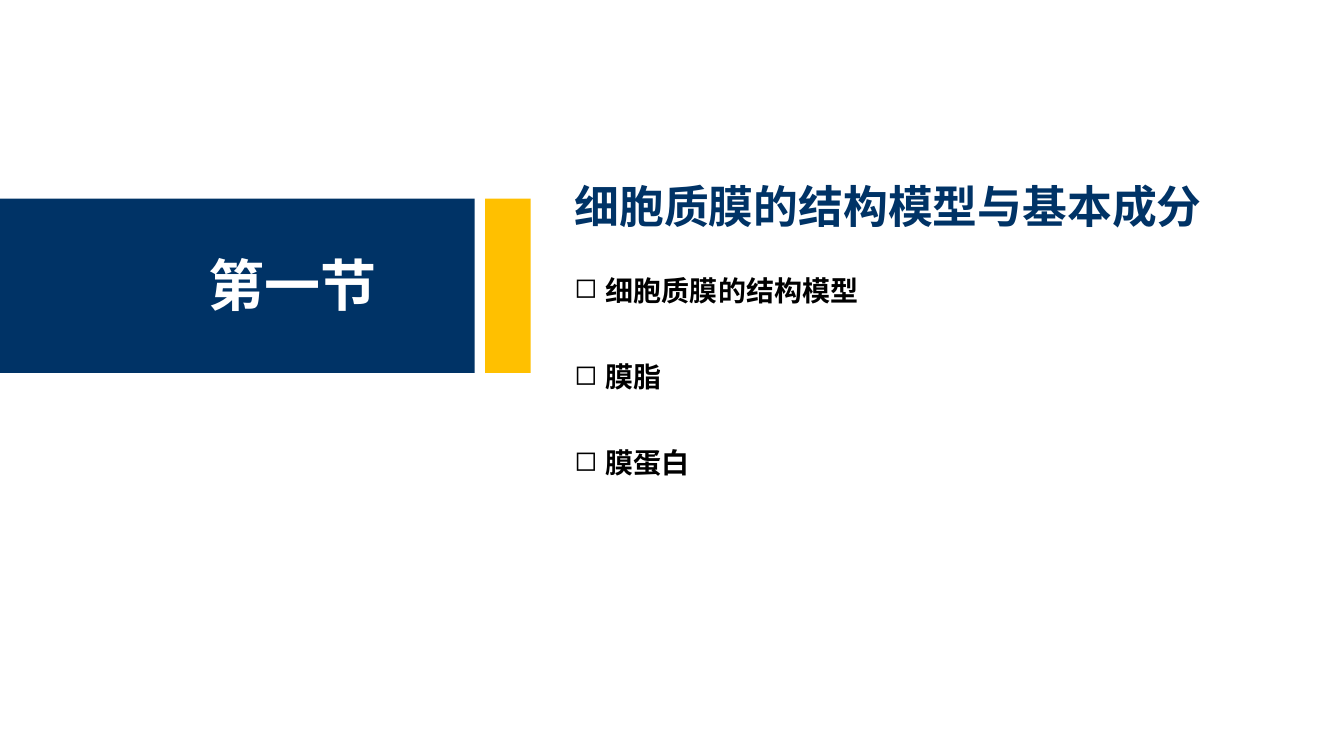
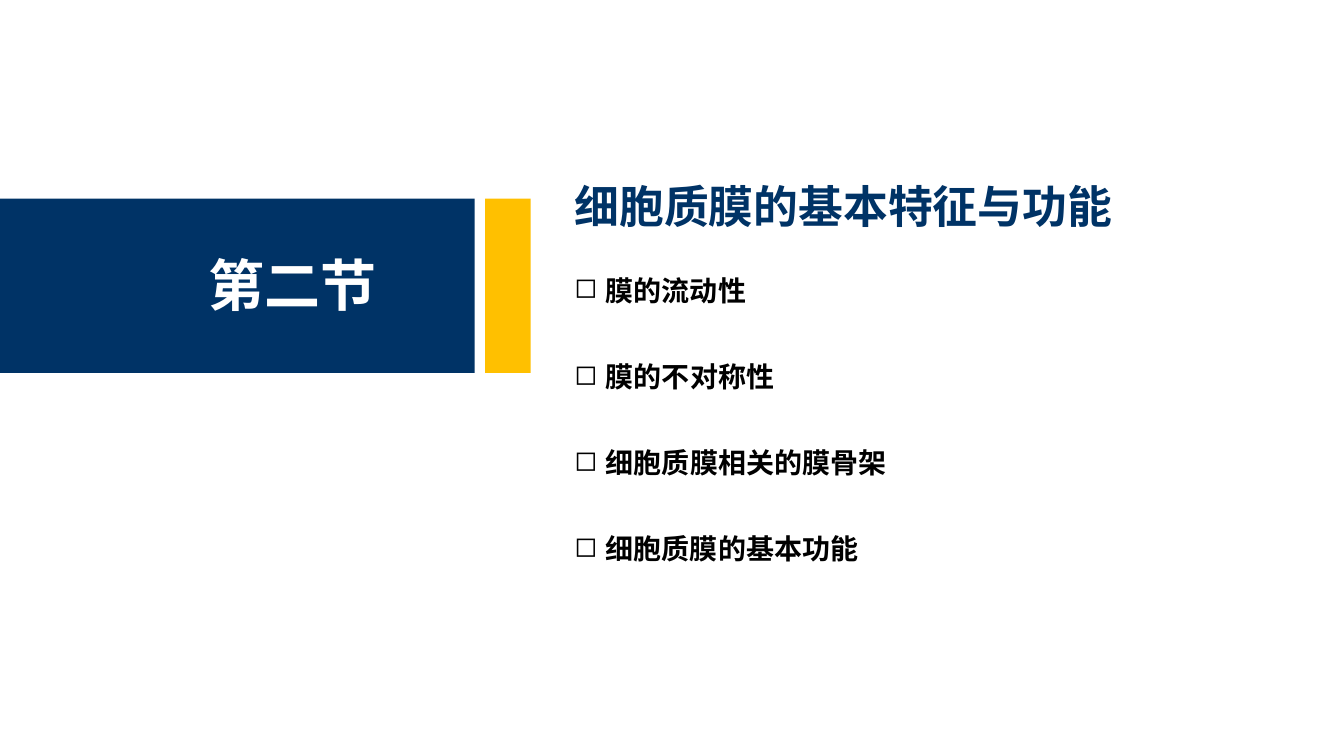
from collections import namedtuple
from dataclasses import dataclass

from lxml.etree import SubElement
from pptx import Presentation
from pptx.dml.color import RGBColor
from pptx.enum.shapes import MSO_SHAPE as Shape
from pptx.enum.text import MSO_ANCHOR as Anchor, PP_ALIGN as Align
from pptx.oxml.ns import qn
from pptx.util import Pt

Box = namedtuple("Box", "left top width height")
Section = namedtuple("Section", "label title title_width topics")


@dataclass(frozen=True)
class Theme:
    navy: RGBColor = RGBColor(0x00, 0x33, 0x66)
    gold: RGBColor = RGBColor(0xFF, 0xC0, 0x00)
    white: RGBColor = RGBColor(0xFF, 0xFF, 0xFF)
    black: RGBColor = RGBColor(0x00, 0x00, 0x00)
    font: str = "Noto Sans CJK SC"
    label_size: int = 40
    title_size: int = 32
    topic_size: int = 20


THEME = Theme()
BAND = Box(0, 142, 379, 124.5)
CONTENT = Box(403.2, 124, 486.5, 284)
TOPIC_INDENT = 22.5

SECTIONS = [
    Section("第一节", "细胞质膜的结构模型与基本成分", 486.5,
            ["细胞质膜的结构模型", "膜脂", "膜蛋白"]),
    Section("第二节", "细胞质膜的基本特征与功能", 403.5,
            ["膜的流动性", "膜的不对称性", "细胞质膜相关的膜骨架", "细胞质膜的基本功能"]),
]


def add_block(slide, box, color):
    shape = slide.shapes.add_shape(Shape.RECTANGLE, *map(Pt, box))
    shape.shadow.inherit = False
    shape.fill.solid()
    shape.fill.fore_color.rgb = color
    shape.line.fill.background()


def add_bullet(paragraph):
    properties = paragraph._p.get_or_add_pPr()
    properties.set("marL", str(Pt(TOPIC_INDENT)))
    properties.set("indent", str(-Pt(TOPIC_INDENT)))
    SubElement(properties, qn("a:buChar")).set("char", "◻")


def add_text(slide, box, text, size, color, bulleted=False):
    text_frame = slide.shapes.add_textbox(*map(Pt, box)).text_frame
    text_frame.word_wrap = True
    text_frame.vertical_anchor = Anchor.MIDDLE
    text_frame.text = text
    paragraph = text_frame.paragraphs[0]
    paragraph.alignment = Align.LEFT
    if bulleted:
        add_bullet(paragraph)
    run = paragraph.runs[0]
    run.font.size = Pt(size)
    run.font.bold = True
    run.font.color.rgb = color
    run.font.name = THEME.font
    SubElement(run._r.get_or_add_rPr(), qn("a:ea")).set("typeface", THEME.font)


def add_band(slide, box, label):
    accent_width, gap = 32.5, 7.5
    navy_width = box.width - accent_width - gap
    add_block(slide, box._replace(width=navy_width), THEME.navy)
    accent_left = box.left + navy_width + gap
    add_block(slide, box._replace(left=accent_left, width=accent_width), THEME.gold)
    label_box = Box(box.left + 142, box.top + 33, 136, 55.5)
    add_text(slide, label_box, label, THEME.label_size, THEME.white)


def add_content(slide, box, section):
    title_box = Box(box.left, box.top, section.title_width, 46)
    add_text(slide, title_box, section.title, THEME.title_size, THEME.navy)
    first_offset, step, height = 67.5, 61.5, 31.7
    for index, topic in enumerate(section.topics):
        top = box.top + first_offset + index * step
        width = len(topic) * THEME.topic_size + TOPIC_INDENT + 16.5
        add_text(slide, Box(box.left, top, width, height), topic,
                 THEME.topic_size, THEME.black, bulleted=True)


def add_section_slide(presentation, section):
    slide = presentation.slides.add_slide(presentation.slide_layouts[6])
    add_band(slide, BAND, section.label)
    add_content(slide, CONTENT, section)


def main():
    presentation = Presentation()
    presentation.slide_width = Pt(960)
    presentation.slide_height = Pt(540)
    for section in SECTIONS:
        add_section_slide(presentation, section)
    presentation.save("out.pptx")


if __name__ == "__main__":
    main()
